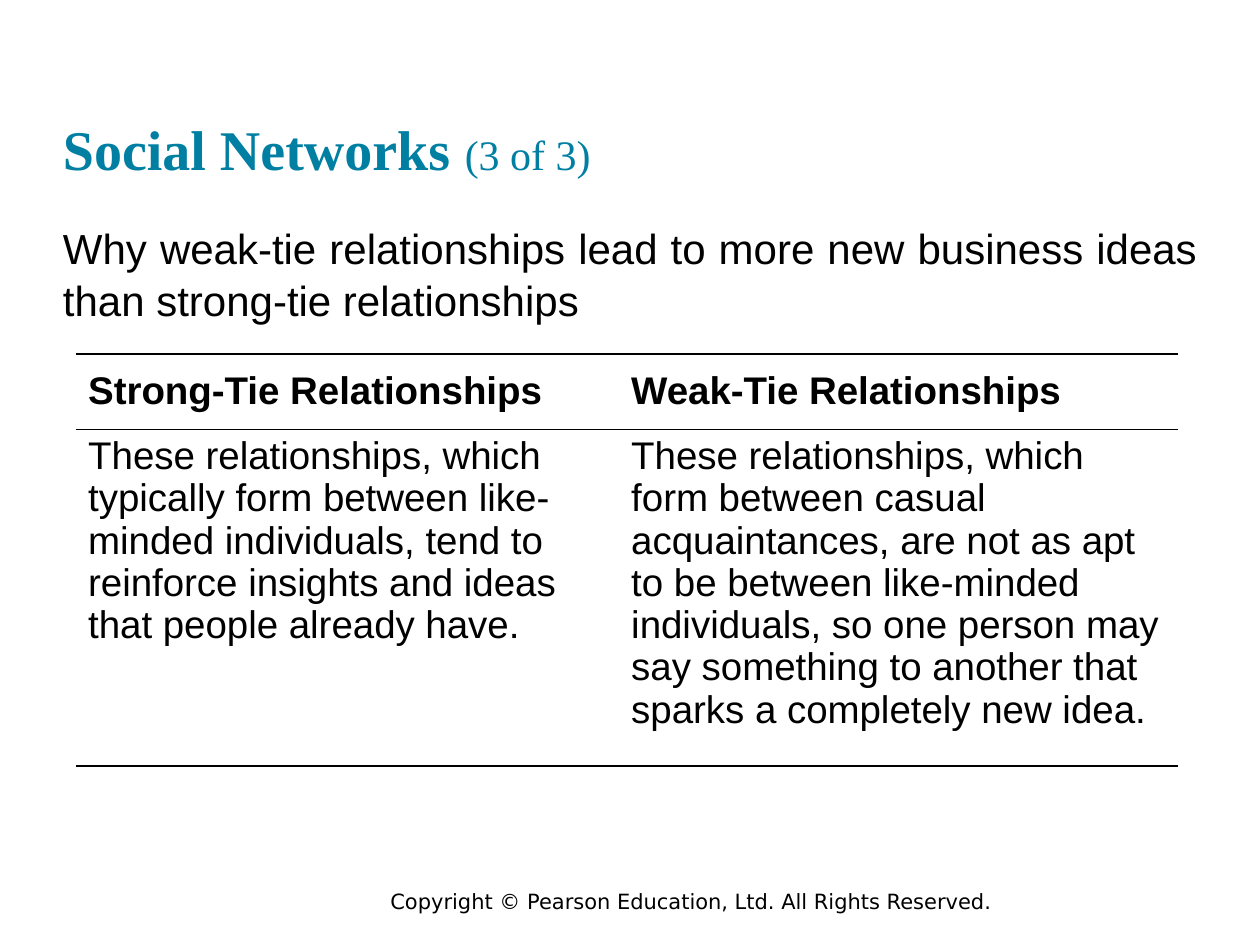
import pptx
import pptx.dml.color
import pptx.enum.text
import pptx.oxml
import pptx.oxml.ns
import pptx.util

Inches = pptx.util.Inches
Anchor = pptx.enum.text.MSO_ANCHOR
Align = pptx.enum.text.PP_ALIGN


def color(hex_string):
    return pptx.dml.color.RGBColor.from_string(hex_string)


class SlideBuilder:
    TEAL, BLACK, WHITE = "007FA3", "000000", "FFFFFF"
    SERIF, SANS, FOOTER = "Times New Roman", "Arial", "DejaVu Sans"

    def __init__(self, slide):
        self.slide = slide

    def style(self, run, font, size, ink=BLACK, bold=False):
        run.font.name = font
        run.font.size = pptx.util.Pt(size)
        run.font.bold = bold
        run.font.color.rgb = color(ink)

    def text(self, box, runs, anchor=Anchor.TOP, inset=0, align=Align.LEFT, spacing=None):
        """Add a text box; each run is (text, font, size, ink, bold)."""
        shape = self.slide.shapes.add_textbox(*map(Inches, box))
        frame = shape.text_frame
        frame.word_wrap = True
        frame.vertical_anchor = anchor
        frame.margin_left = frame.margin_right = Inches(inset)
        frame.margin_top = frame.margin_bottom = Inches(inset / 2)
        paragraph = frame.paragraphs[0]
        paragraph.alignment = align
        paragraph.line_spacing = spacing
        for words, *look in runs:
            run = paragraph.add_run()
            run.text = words
            self.style(run, *look)

    def borders(self, cell, ruled):
        """Draw the ruled sides in black and clear the others."""
        properties = cell._tc.get_or_add_tcPr()
        for side in "LRTB":
            paint = (f'<a:solidFill><a:srgbClr val="{self.BLACK}"/></a:solidFill>'
                     if side in ruled else "<a:noFill/>")
            properties.append(pptx.oxml.parse_xml(
                f'<a:ln{side} {pptx.oxml.ns.nsdecls("a")} w="12700">{paint}</a:ln{side}>'))

    def table(self, box, widths, heights, rows):
        """Add a table with a bold header and horizontal rules only."""
        table = self.slide.shapes.add_table(len(rows), len(widths), *map(Inches, box)).table
        table.first_row = table.horz_banding = False
        for column, width in zip(table.columns, widths):
            column.width = Inches(width)
        for row, height in zip(table.rows, heights):
            row.height = Inches(height)
        for row_index, row in enumerate(rows):
            header = row_index == 0
            for column_index, words in enumerate(row):
                cell = table.cell(row_index, column_index)
                self.borders(cell, "TB")
                cell.fill.solid()
                cell.fill.fore_color.rgb = color(self.WHITE)
                cell.vertical_anchor = Anchor.MIDDLE if header else Anchor.TOP
                cell.text_frame.text = words
                paragraph = cell.text_frame.paragraphs[0]
                paragraph.line_spacing = 0.98
                self.style(paragraph.runs[0], self.SANS, 22, bold=header)


def main():
    presentation = pptx.Presentation()
    presentation.slide_width = Inches(10)
    presentation.slide_height = Inches(7.5)
    builder = SlideBuilder(presentation.slides.add_slide(presentation.slide_layouts[6]))

    # Footer
    builder.text((3, 7, 6.67, 0.3),
                 [("Copyright © Pearson Education, Ltd. All Rights Reserved.", builder.FOOTER, 12)],
                 inset=0.1)

    # Title
    builder.text((0.5, 0.24, 9, 1.2),
                 [("Social Networks ", builder.SERIF, 32, builder.TEAL, True),
                  ("(3 of 3)", builder.SERIF, 24, builder.TEAL)],
                 anchor=Anchor.BOTTOM)

    # Lead sentence
    builder.text((0.5, 1.75, 9, 0.83),
                 [("Why weak-tie relationships lead to more new business ideas "
                   "than strong-tie relationships", builder.SANS, 24)],
                 align=Align.JUSTIFY, spacing=1.04)

    # Comparison of the two kinds of relationship
    builder.table((0.6, 2.81, 8.75, 3.27), (4.31, 4.44), (0.6, 2.67), [
        ("Strong-Tie Relationships", "Weak-Tie Relationships"),
        ("These relationships, which typically form between like-minded individuals, "
         "tend to reinforce insights and ideas that people already have.",
         "These relationships, which form between casual acquaintances, are not as apt "
         "to be between like-minded individuals, so one person may say something to "
         "another that sparks a completely new idea."),
    ])

    presentation.save("out.pptx")


if __name__ == "__main__":
    main()
